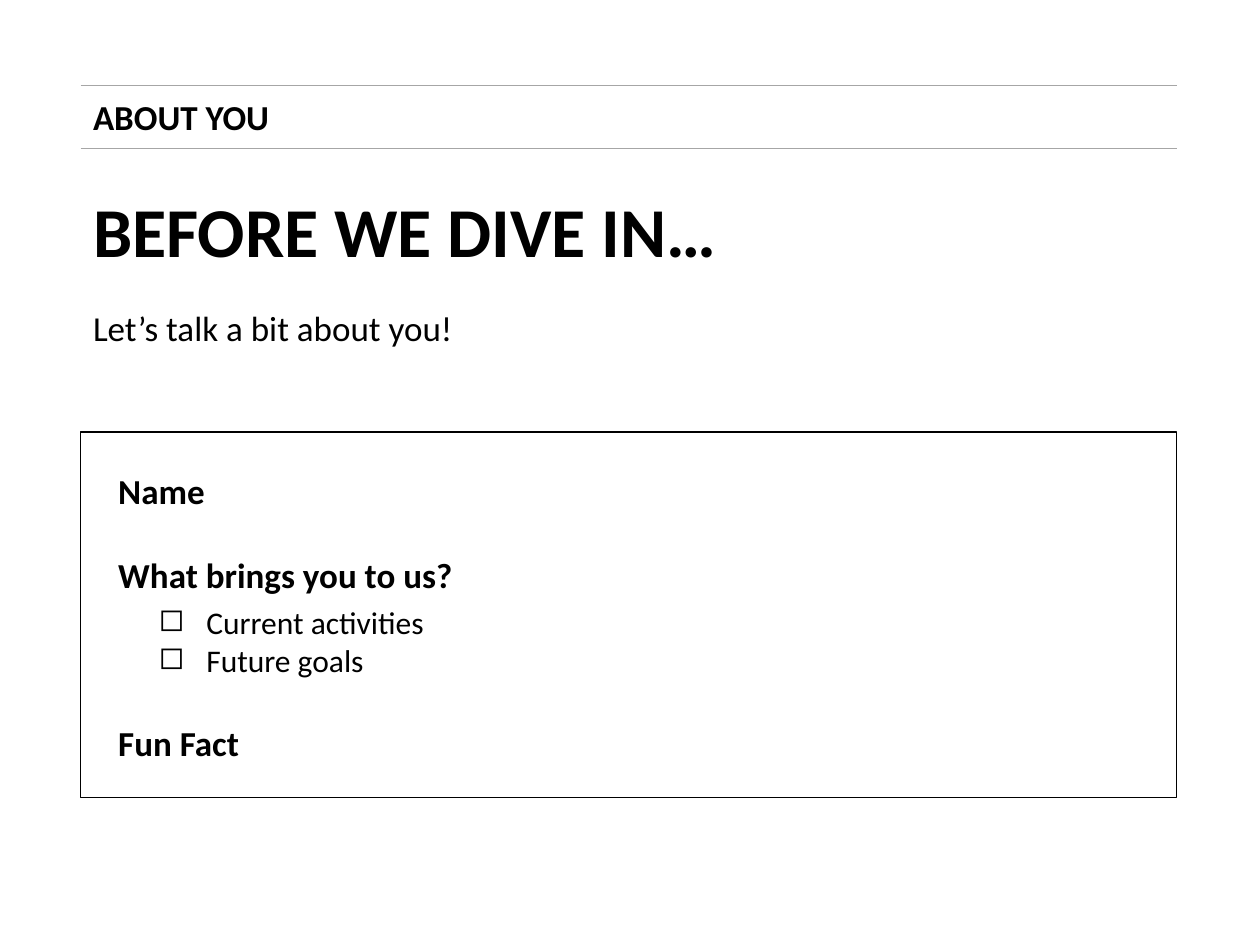
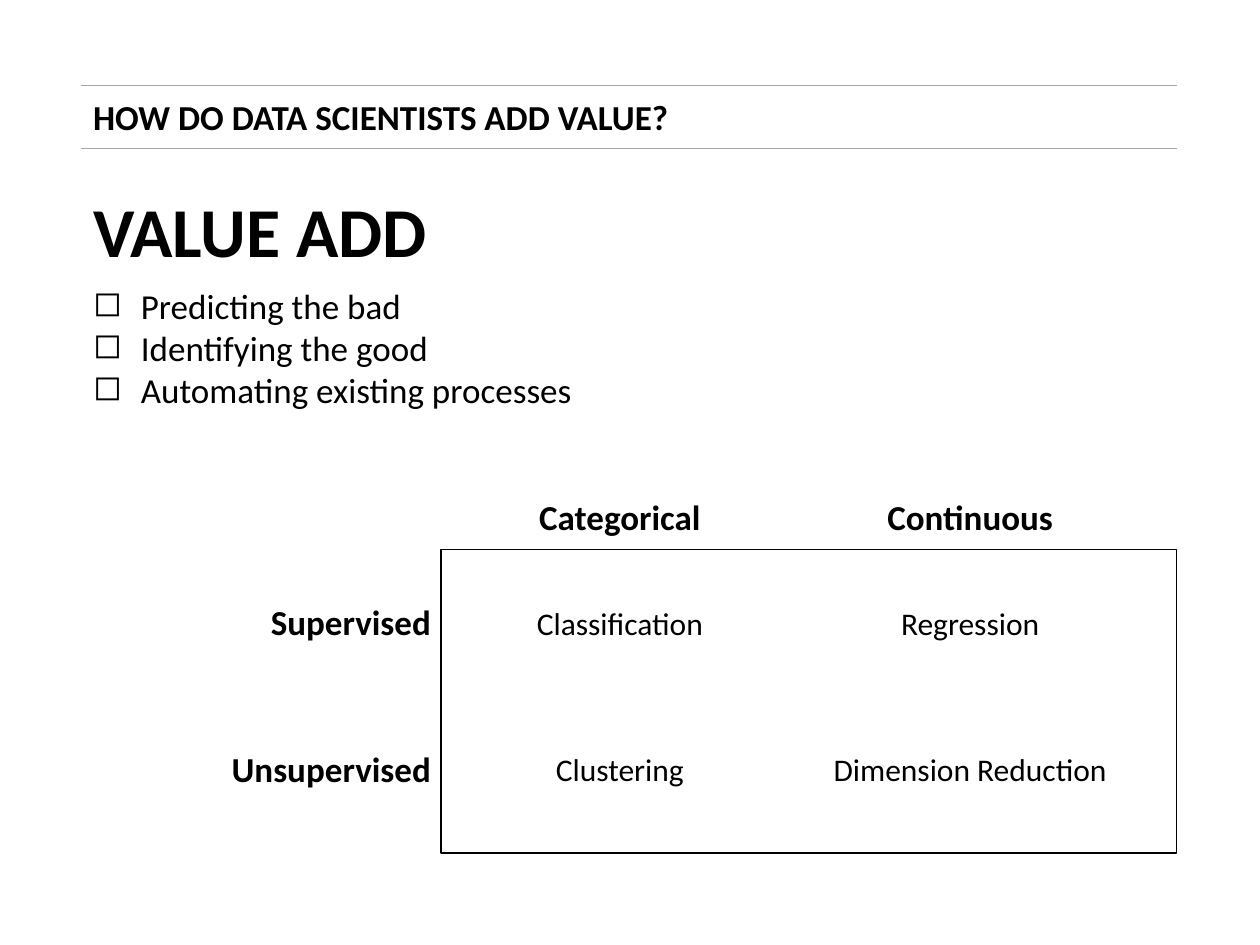
import pptx
import pptx.dml.color
import pptx.enum.shapes
import pptx.enum.text
import pptx.oxml.ns
import pptx.util
from lxml import etree

Inches = pptx.util.Inches
Pt = pptx.util.Pt
ALIGN = pptx.enum.text.PP_ALIGN
ANCHOR = pptx.enum.text.MSO_ANCHOR

INK, RULE = "000000", "A6A6A6"
LEFT, WIDTH = 0.64, 8.7
RULES = (0.68, 1.18)
HEAD = {"name": "Calibri", "size": Pt(20), "bold": True}
TITLE = {**HEAD, "size": Pt(40)}
BODY = {**HEAD, "bold": False}
SMALL = {**BODY, "size": Pt(18)}

ABOUT = {
    "topic": "ABOUT YOU",
    "title": "BEFORE WE DIVE IN…",
    "lead": "Let’s talk a bit about you!",
    # prompt and the space before it in points
    "prompts": [("Name", 0), ("What brings you to us?", 24), ("Fun Fact", 72)],
    "hints": ["Current activities", "Future goals"],
}
VALUE = {
    "topic": "HOW DO DATA SCIENTISTS ADD VALUE?",
    "title": "VALUE ADD",
    "points": ["Predicting the bad", "Identifying the good",
               "Automating existing processes"],
    "heads": ["Categorical", "Continuous"],
    "rows": [("Supervised", ["Classification", "Regression"]),
             ("Unsupervised", ["Clustering", "Dimension Reduction"])],
}


def rgb(code):
    return pptx.dml.color.RGBColor.from_string(code)


def place(*box):
    return [Inches(n) for n in box]


def bullet(para):
    """Give a paragraph a hanging square bullet."""
    props = para._p.get_or_add_pPr()
    props.set("marL", str(Inches(0.38)))
    props.set("indent", str(-Inches(0.38)))
    mark = etree.SubElement(props, pptx.oxml.ns.qn("a:buChar"))
    mark.set("char", "◻")


def write(slide, box, lines, style, align=ALIGN.LEFT, anchor=ANCHOR.TOP,
          marked=False, gaps=()):
    frame = slide.shapes.add_textbox(*place(*box)).text_frame
    frame.word_wrap = True
    frame.vertical_anchor = anchor
    for i, line in enumerate(lines):
        para = frame.paragraphs[0] if i == 0 else frame.add_paragraph()
        para.alignment = align
        if i and gaps:
            para.space_before = Pt(gaps[i])
        if marked:
            bullet(para)
        run = para.add_run()
        run.text = line
        for key, value in style.items():
            setattr(run.font, key, value)
        run.font.color.rgb = rgb(INK)


def frame_box(slide, *box):
    rect = slide.shapes.add_shape(
        pptx.enum.shapes.MSO_SHAPE.RECTANGLE, *place(*box))
    rect.shadow.inherit = False
    rect.fill.background()
    rect.line.color.rgb = rgb(INK)
    rect.line.width = Pt(0.75)


def start(deck, data):
    """Add a slide with the ruled topic band and the title."""
    slide = deck.slides.add_slide(deck.slide_layouts[6])
    for y in RULES:
        line = slide.shapes.add_connector(
            pptx.enum.shapes.MSO_CONNECTOR.STRAIGHT,
            *place(LEFT, y, LEFT + WIDTH, y))
        line.line.color.rgb = rgb(RULE)
        line.line.width = Pt(0.75)
        etree.SubElement(line._element.spPr, pptx.oxml.ns.qn("a:effectLst"))
    write(slide, (LEFT, 0.71, WIDTH, 0.44), [data["topic"]], HEAD)
    write(slide, (LEFT, 1.44, WIDTH, 0.77), [data["title"]], TITLE)
    return slide


def about(deck):
    slide = start(deck, ABOUT)
    write(slide, (LEFT, 2.38, WIDTH, 0.77), [ABOUT["lead"]], BODY)
    write(slide, (1.16, 4.74, 8.18, 0.71), ABOUT["hints"], SMALL, marked=True)
    frame_box(slide, LEFT, 3.43, WIDTH, 2.9)
    lines, gaps = zip(*ABOUT["prompts"])
    write(slide, (0.84, 3.68, 8.3, 2.45), lines, HEAD, gaps=gaps)


def value(deck):
    slide = start(deck, VALUE)
    write(slide, (LEFT, 2.21, WIDTH, 1.11), VALUE["points"], BODY, marked=True)
    frame_box(slide, 3.5, 4.36, 5.84, 2.41)
    wide, high = 2.78, 0.44

    def band(y, texts, style):
        for col, text in enumerate(texts):
            write(slide, (3.53 + col * wide, y, wide, high), [text], style,
                  ALIGN.CENTER, ANCHOR.MIDDLE)

    band(3.88, VALUE["heads"], HEAD)
    for row, (name, cells) in enumerate(VALUE["rows"]):
        y = 4.72 + row * 1.16
        write(slide, (1.52, y, 2, high), [name], HEAD, ALIGN.RIGHT)
        band(y, cells, SMALL)


def main():
    deck = pptx.Presentation()
    deck.slide_width, deck.slide_height = place(10, 7.5)
    about(deck)
    value(deck)
    deck.save("out.pptx")


if __name__ == "__main__":
    main()
